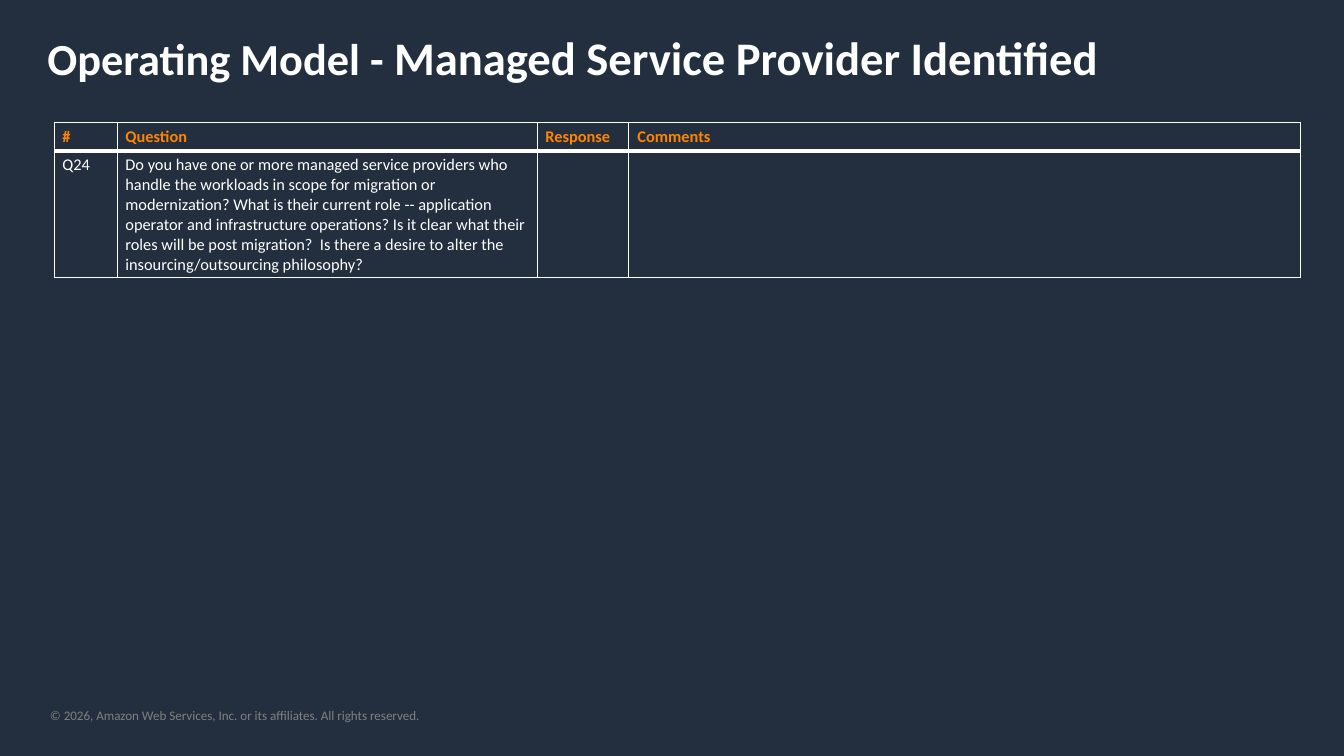
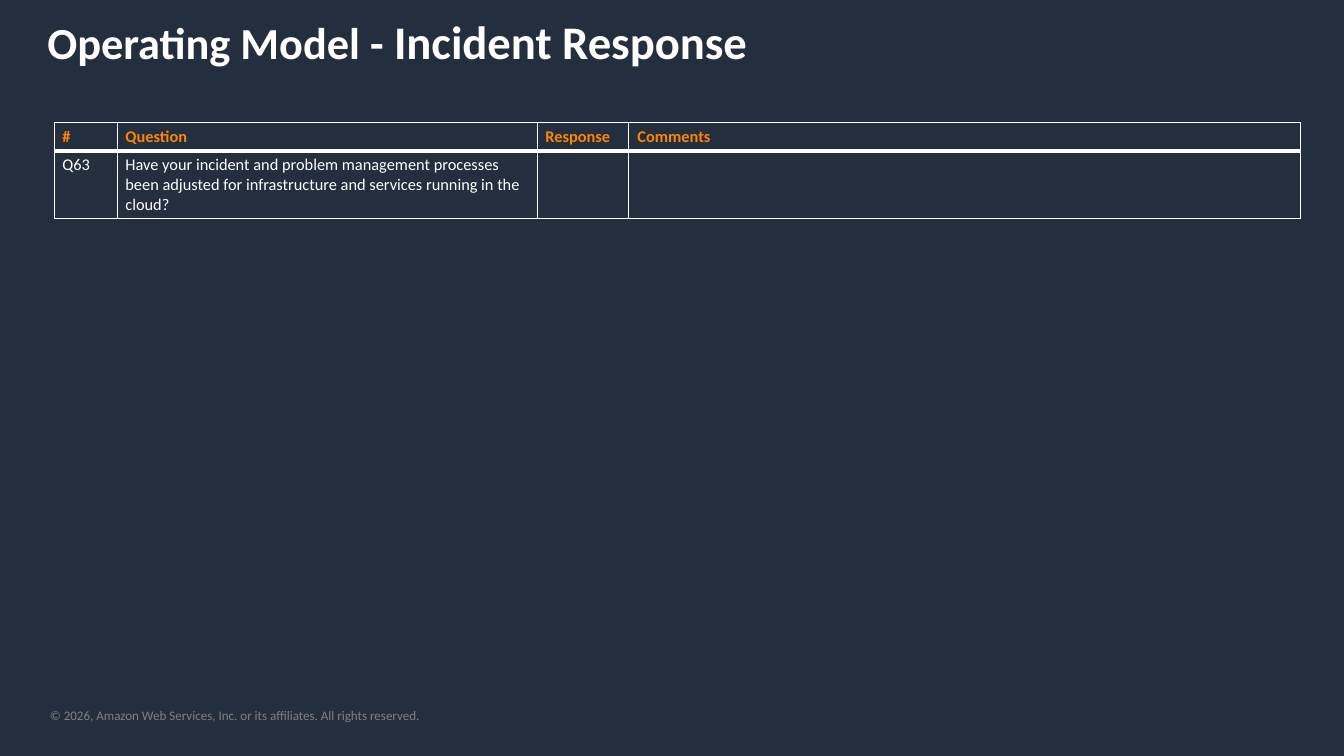
import pptx
import pptx.util
import pptx.dml.color
import pptx.enum.text
import pptx.oxml
import pptx.oxml.ns
from dataclasses import dataclass

# Content
TITLE_LEAD = "Operating Model - "
FOOTER = "© 2026, Amazon Web Services, Inc. or its affiliates. All rights reserved."
HEADINGS = ("#", "Question", "Response", "Comments")
TOPICS = [
    {
        "title": "Managed Service Provider Identified",
        "title_top": 25,
        "questions": [
            ("Q24", "Do you have one or more managed service providers who handle the "
                    "workloads in scope for migration or modernization? What is their "
                    "current role -- application operator and infrastructure operations? "
                    "Is it clear what their roles will be post migration?  Is there a "
                    "desire to alter the insourcing/outsourcing philosophy?", "", ""),
        ],
    },
    {
        "title": "Incident Response",
        "title_top": 9,
        "questions": [
            ("Q63", "Have your incident and problem management processes been adjusted "
                    "for infrastructure and services running in the cloud?", "", ""),
        ],
    },
]


@dataclass(frozen=True)
class Theme:
    font: str = "Calibri"
    background: str = "232F3E"
    text: str = "FFFFFF"
    accent: str = "FF8500"
    muted: str = "808080"
    lead_size: float = 38
    title_size: float = 40
    table_size: float = 14
    footer_size: float = 11.2
    thin_line: float = 1
    thick_line: float = 3


THEME = Theme()

# Geometry in px
PX_PER_INCH = 84
SLIDE_SIZE = (1344, 756)
TITLE_LEFT, TITLE_WIDTH, TITLE_HEIGHT = 39, 1282, 65
TABLE_LEFT, TABLE_TOP, ROW_HEIGHT = 54, 123, 24
COLUMN_WIDTHS = (63, 420, 92, 672)
FOOTER_BOX = (50, 707, 654, 16)


def px(length):
    return pptx.util.Emu(round(length * pptx.util.Inches(1) / PX_PER_INCH))


def rgb(color):
    return pptx.dml.color.RGBColor.from_string(color)


def write(frame, text, size, color=THEME.text, bold=False):
    """Append one formatted run to the first paragraph of a text frame."""
    paragraph = frame.paragraphs[0]
    paragraph.alignment = pptx.enum.text.PP_ALIGN.LEFT
    run = paragraph.add_run()
    run.text = text
    run.font.name = THEME.font
    run.font.size = pptx.util.Pt(size)
    run.font.bold = bold
    run.font.color.rgb = rgb(color)


def add_title(slide, topic):
    title = slide.shapes.title
    title.left, title.top = px(TITLE_LEFT), px(topic["title_top"])
    title.width, title.height = px(TITLE_WIDTH), px(TITLE_HEIGHT)
    frame = title.text_frame
    frame.word_wrap = True
    frame.auto_size = pptx.enum.text.MSO_AUTO_SIZE.NONE
    frame.vertical_anchor = pptx.enum.text.MSO_ANCHOR.TOP
    write(frame, TITLE_LEAD, size=THEME.lead_size, bold=True)
    write(frame, topic["title"], size=THEME.title_size, bold=True)


def add_footer(slide):
    frame = slide.shapes.add_textbox(*map(px, FOOTER_BOX)).text_frame
    frame.word_wrap = True
    frame.margin_left = frame.margin_right = 0
    frame.margin_top = frame.margin_bottom = 0
    write(frame, FOOTER, size=THEME.footer_size, color=THEME.muted)


def set_borders(cell, top, bottom):
    properties = cell._tc.get_or_add_tcPr()
    sides = {"L": THEME.thin_line, "R": THEME.thin_line, "T": top, "B": bottom}
    for side, width in sides.items():
        properties.append(pptx.oxml.parse_xml(
            f'<a:ln{side} {pptx.oxml.ns.nsdecls("a")} w="{pptx.util.Pt(width)}">'
            f'<a:solidFill><a:srgbClr val="{THEME.text}"/></a:solidFill></a:ln{side}>'))


def add_questions(slide, questions):
    rows = [HEADINGS, *questions]
    table = slide.shapes.add_table(
        len(rows), len(HEADINGS), px(TABLE_LEFT), px(TABLE_TOP),
        px(sum(COLUMN_WIDTHS)), px(ROW_HEIGHT * len(rows))).table
    table.horz_banding = False
    for column, width in zip(table.columns, COLUMN_WIDTHS):
        column.width = px(width)
    for row_index, row in enumerate(rows):
        heading = row_index == 0
        for column_index, text in enumerate(row):
            cell = table.cell(row_index, column_index)
            # The rule under the headings is shared by both rows
            set_borders(cell,
                        top=THEME.thick_line if row_index == 1 else THEME.thin_line,
                        bottom=THEME.thick_line if heading else THEME.thin_line)
            cell.fill.background()
            if text:
                write(cell.text_frame, text, size=THEME.table_size, bold=heading,
                      color=THEME.accent if heading else THEME.text)


def main():
    deck = pptx.Presentation()
    deck.slide_width, deck.slide_height = map(px, SLIDE_SIZE)
    # Shared background
    backdrop = deck.slide_master.background.fill
    backdrop.solid()
    backdrop.fore_color.rgb = rgb(THEME.background)
    title_only = deck.slide_layouts.get_by_name("Title Only")
    for topic in TOPICS:
        slide = deck.slides.add_slide(title_only)
        add_footer(slide)
        add_title(slide, topic)
        add_questions(slide, topic["questions"])
    deck.save("out.pptx")


if __name__ == "__main__":
    main()
